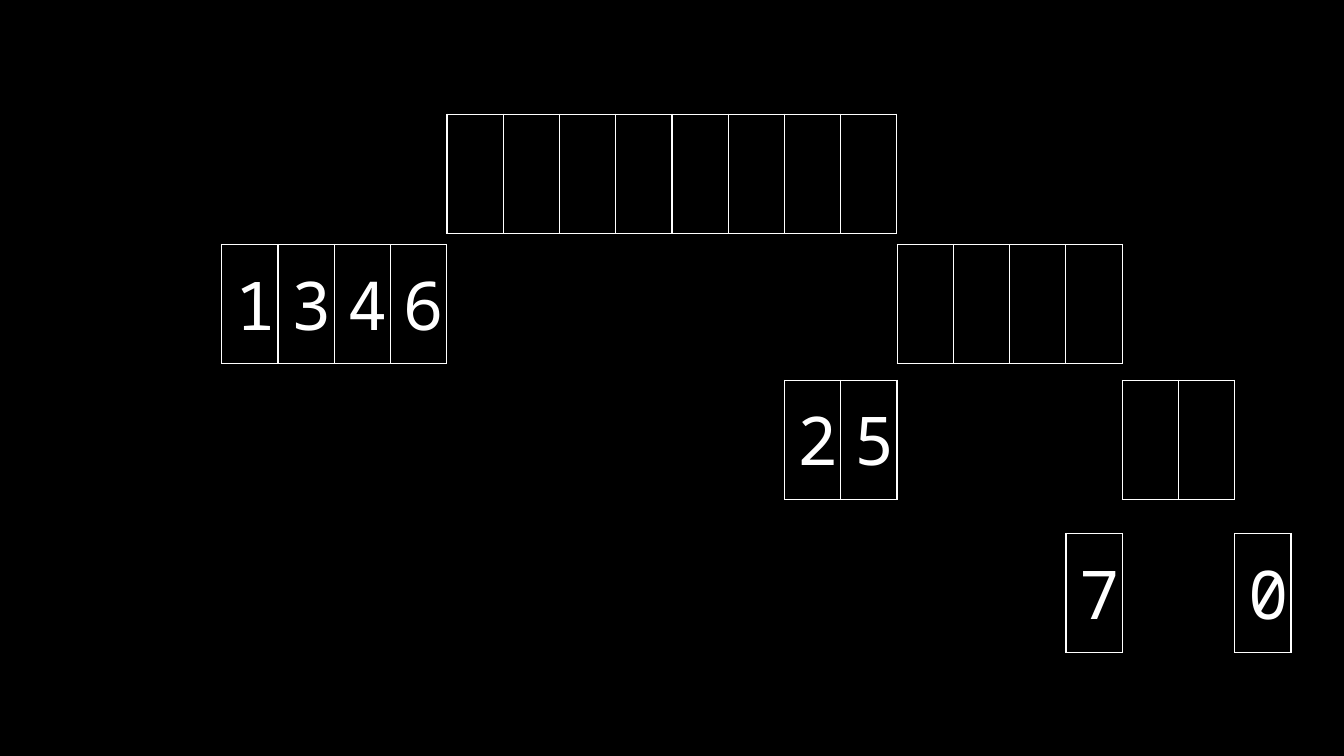
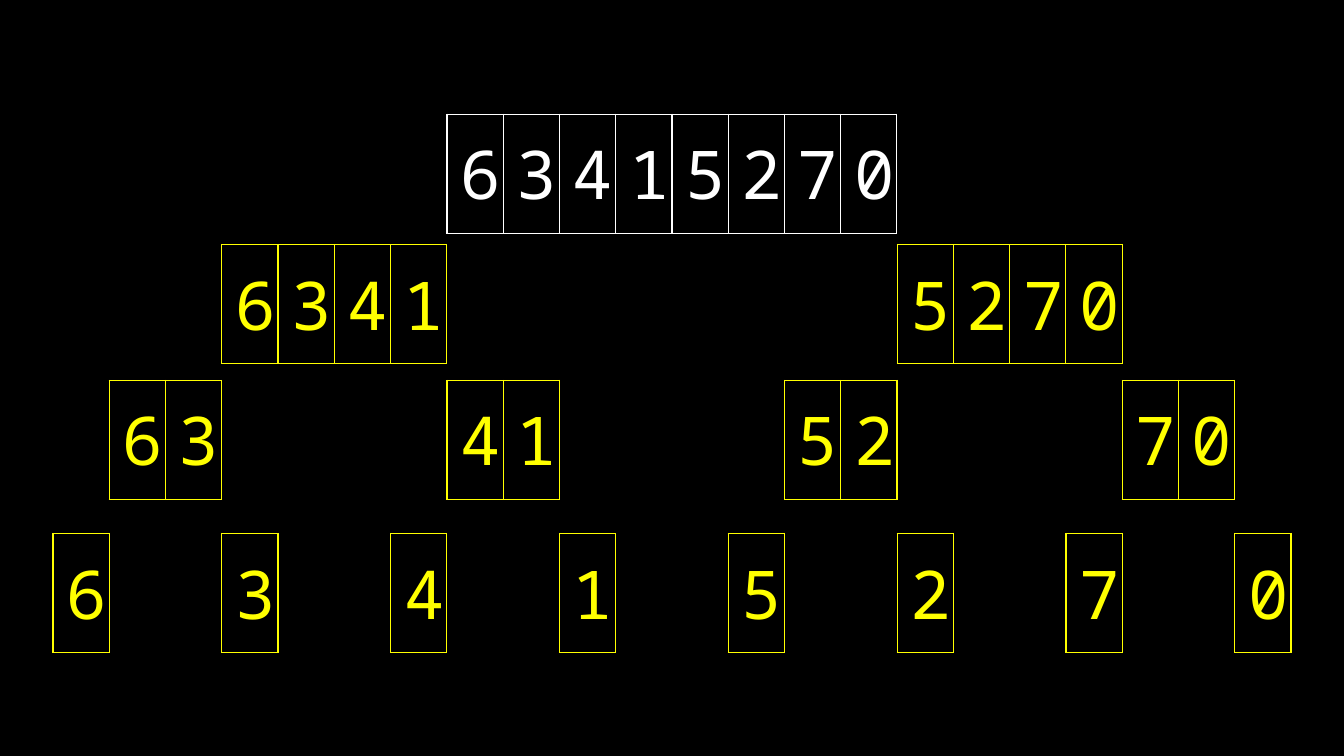
import pptx
import pptx.dml.color
import pptx.enum.text
import pptx.oxml.ns
import pptx.util
from lxml import etree

Pt = pptx.util.Pt
BLACK = pptx.dml.color.RGBColor(0x00, 0x00, 0x00)
WHITE = pptx.dml.color.RGBColor(0xFF, 0xFF, 0xFF)
YELLOW = pptx.dml.color.RGBColor(0xFF, 0xFF, 0x00)

NUMBERS = "63415270"
MERGING_BLOCKS = [
    (0, 0, [""] * 8, WHITE),
    (1, 0, "1346", WHITE),
    (1, 1, [""] * 4, WHITE),
    (2, 2, "25", WHITE),
    (2, 3, [""] * 2, WHITE),
    (3, 6, "7", WHITE),
    (3, 7, "0", WHITE),
]

SLIDE_WIDTH, SLIDE_HEIGHT = 720, 405
LEVEL_TOPS = [61.2, 131, 203.8, 285.8]
CELL_WIDTH, CELL_HEIGHT = 30.15, 63.7
GRID_COLUMNS = 3 * len(NUMBERS) - 2
GRID_LEFT = (SLIDE_WIDTH - GRID_COLUMNS * CELL_WIDTH) / 2
CELL_MARGIN = 7.2
FONT_NAME, FONT_SIZE = "Noto Sans Mono", 36
BORDER_WIDTH = 0.75


def split_blocks(numbers, level=0, index=0):
    blocks = [(level, index, numbers, YELLOW if level else WHITE)]
    if len(numbers) > 1:
        middle = len(numbers) // 2
        blocks += split_blocks(numbers[:middle], level + 1, 2 * index)
        blocks += split_blocks(numbers[middle:], level + 1, 2 * index + 1)
    return blocks


def set_borders(cell, color):
    qn = pptx.oxml.ns.qn
    properties = cell._tc.get_or_add_tcPr()
    for side in ("lnL", "lnR", "lnT", "lnB"):
        line = etree.SubElement(properties, qn(f"a:{side}"), w=str(Pt(BORDER_WIDTH)))
        fill = etree.SubElement(line, qn("a:solidFill"))
        etree.SubElement(fill, qn("a:srgbClr"), val=str(color))


def fill_cell(cell, digit, color):
    set_borders(cell, color)
    cell.fill.background()
    cell.vertical_anchor = pptx.enum.text.MSO_ANCHOR.MIDDLE
    cell.margin_left = cell.margin_right = Pt(CELL_MARGIN)
    cell.margin_top = cell.margin_bottom = Pt(CELL_MARGIN)
    if digit:
        paragraph = cell.text_frame.paragraphs[0]
        paragraph.alignment = pptx.enum.text.PP_ALIGN.CENTER
        run = paragraph.add_run()
        run.text = digit
        run.font.name = FONT_NAME
        run.font.size = Pt(FONT_SIZE)
        run.font.color.rgb = color


def add_block(slide, level, index, digits, color):
    count = len(digits)
    first_column = 3 * count * index + count - 1
    table = slide.shapes.add_table(
        1, count,
        Pt(GRID_LEFT + first_column * CELL_WIDTH), Pt(LEVEL_TOPS[level]),
        Pt(count * CELL_WIDTH), Pt(CELL_HEIGHT),
    ).table
    table.first_row = table.horz_banding = False
    for column, digit in enumerate(digits):
        table.columns[column].width = Pt(CELL_WIDTH)
        fill_cell(table.cell(0, column), digit, color)


def main():
    presentation = pptx.Presentation()
    presentation.slide_width = Pt(SLIDE_WIDTH)
    presentation.slide_height = Pt(SLIDE_HEIGHT)
    background = presentation.slide_master.background.fill
    background.solid()
    background.fore_color.rgb = BLACK
    for blocks in (MERGING_BLOCKS, split_blocks(NUMBERS)):
        slide = presentation.slides.add_slide(presentation.slide_layouts[6])
        for block in blocks:
            add_block(slide, *block)
    presentation.save("out.pptx")


if __name__ == "__main__":
    main()
